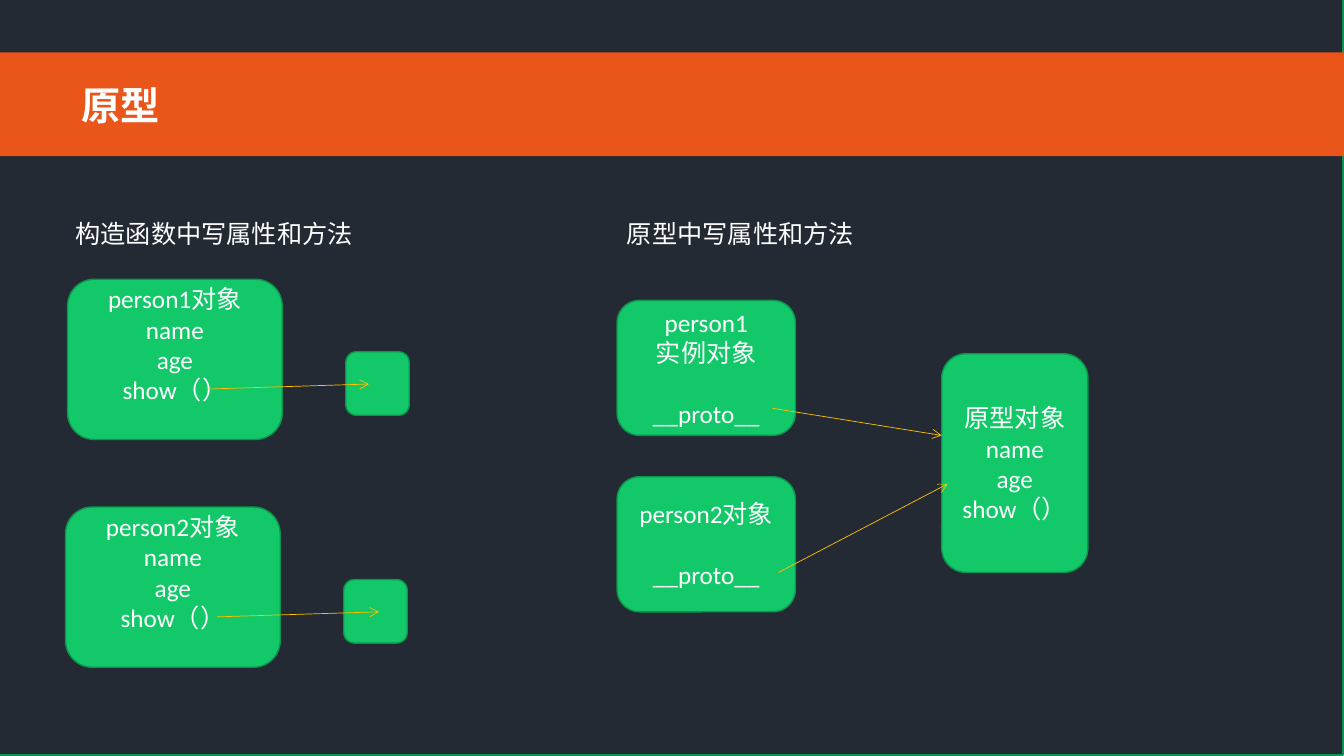
from lxml.etree import SubElement
from pptx import Presentation
from pptx.dml.color import RGBColor
from pptx.enum.shapes import MSO_CONNECTOR, MSO_SHAPE
from pptx.enum.text import MSO_ANCHOR, PP_ALIGN
from pptx.oxml.ns import qn
from pptx.util import Pt

PX = 9144  # 100 px to the inch
LINE_GAP = Pt(22)

NIGHT = RGBColor(0x23, 0x2A, 0x34)
ORANGE = RGBColor(0xEA, 0x55, 0x19)
GREEN = RGBColor(0x12, 0xC8, 0x69)
DARK_GREEN = RGBColor(0x0D, 0x94, 0x4E)
AMBER = RGBColor(0xFF, 0xC0, 0x00)
WHITE = RGBColor(0xFF, 0xFF, 0xFF)

CJK_FONT = "Noto Sans CJK SC"
TITLE_FORMAT = {"name": CJK_FONT, "size": Pt(28), "bold": True}
HEADING_FORMAT = {"name": CJK_FONT, "size": Pt(18)}
OBJECT_FORMAT = {"name": "Calibri", "size": Pt(18)}


def px(*lengths):
    return [length * PX for length in lengths]


def write(paragraph, wording, font_format, align):
    paragraph.alignment = align
    run = paragraph.add_run()
    run.text = wording
    for attribute, value in font_format.items():
        setattr(run.font, attribute, value)
    run.font.color.rgb = WHITE
    SubElement(run.font._element, qn("a:ea"), typeface=CJK_FONT)


def add_panel(slide, kind, box, fill, outline=None):
    panel = slide.shapes.add_shape(kind, *px(*box))
    panel.shadow.inherit = False
    panel.fill.solid()
    panel.fill.fore_color.rgb = fill
    if outline is None:
        panel.line.fill.background()
    else:
        panel.line.color.rgb = outline
        panel.line.width = Pt(1)
    return panel


def add_object(slide, box, lines=(), gap_before=None, room_below=5):
    """Draw a rounded box; gap_before is the index of the line set apart by a gap."""
    card = add_panel(slide, MSO_SHAPE.ROUNDED_RECTANGLE, box, GREEN, DARK_GREEN)
    frame = card.text_frame
    frame.word_wrap = True
    frame.vertical_anchor = MSO_ANCHOR.MIDDLE
    frame.margin_bottom = room_below * PX
    for index, line in enumerate(lines):
        paragraph = frame.add_paragraph() if index else frame.paragraphs[0]
        write(paragraph, line, OBJECT_FORMAT, PP_ALIGN.CENTER)
        if index == gap_before:
            paragraph.space_before = LINE_GAP


def add_arrow(slide, start, end):
    arrow = slide.shapes.add_connector(MSO_CONNECTOR.STRAIGHT, *px(*start, *end))
    arrow.line.color.rgb = AMBER
    arrow.line.width = Pt(0.5)
    SubElement(arrow.line._get_or_add_ln(), qn("a:tailEnd"), type="arrow")
    SubElement(arrow.element.spPr, qn("a:effectLst"))


def add_heading(slide, box, wording):
    frame = slide.shapes.add_textbox(*px(*box)).text_frame
    frame.word_wrap = False
    write(frame.paragraphs[0], wording, HEADING_FORMAT, PP_ALIGN.LEFT)


def add_title_band(slide, box, wording):
    left, top, _, _ = box
    band = add_panel(slide, MSO_SHAPE.RECTANGLE, box, ORANGE)
    title = slide.shapes.title
    title.left, title.top, title.width, title.height = px(left + 71, top + 23, 1057, 57)
    title.text_frame.vertical_anchor = MSO_ANCHOR.MIDDLE
    write(title.text_frame.paragraphs[0], wording, TITLE_FORMAT, PP_ALIGN.LEFT)
    band.element.addnext(title.element)


def add_constructor_side(slide, left, top):
    add_heading(slide, (left, top, 295, 40), "构造函数中写属性和方法")
    persons = (("person1", 2, 65, 138), ("person2", 0, 291, 150))
    for person, shift, drop, arrow_shift in persons:
        x, y = left + shift, top + drop
        lines = (f"{person}对象", "name", "age", "show（）")
        add_object(slide, (x, y, 213, 159), lines, room_below=35)
        add_object(slide, (x + 276, y + 72, 63, 63))
        arrow_x = x + arrow_shift
        add_arrow(slide, (arrow_x, y + 109), (arrow_x + 161, y + 104))


def add_prototype_side(slide, left, top):
    add_heading(slide, (left, top, 245, 40), "原型中写属性和方法")
    proto_x, proto_y = left + 322, top + 139
    add_object(slide, (proto_x, proto_y, 145, 217),
               ("原型对象", "name", "age", "show（）"))
    instances = (
        (86, ("person1", "实例对象", "__proto__"), (154, 107), (0, 81)),
        (261, ("person2对象", "__proto__"), (160, 95), (6, 129)),
    )
    for drop, lines, (start_x, start_y), (end_x, end_y) in instances:
        y = top + drop
        add_object(slide, (left, y, 177, 134), lines, gap_before=len(lines) - 1)
        add_arrow(slide, (left + start_x, y + start_y),
                  (proto_x + end_x, proto_y + end_y))


def main():
    deck = Presentation()
    deck.slide_width, deck.slide_height = px(1333, 750)
    slide = deck.slides.add_slide(deck.slide_layouts[5])
    add_panel(slide, MSO_SHAPE.RECTANGLE, (-1, -1, 1333, 750), NIGHT, DARK_GREEN)
    add_title_band(slide, (0, 52, 1333, 103), "原型")
    add_constructor_side(slide, 65, 212)
    add_prototype_side(slide, 612, 212)
    deck.save("out.pptx")


if __name__ == "__main__":
    main()
